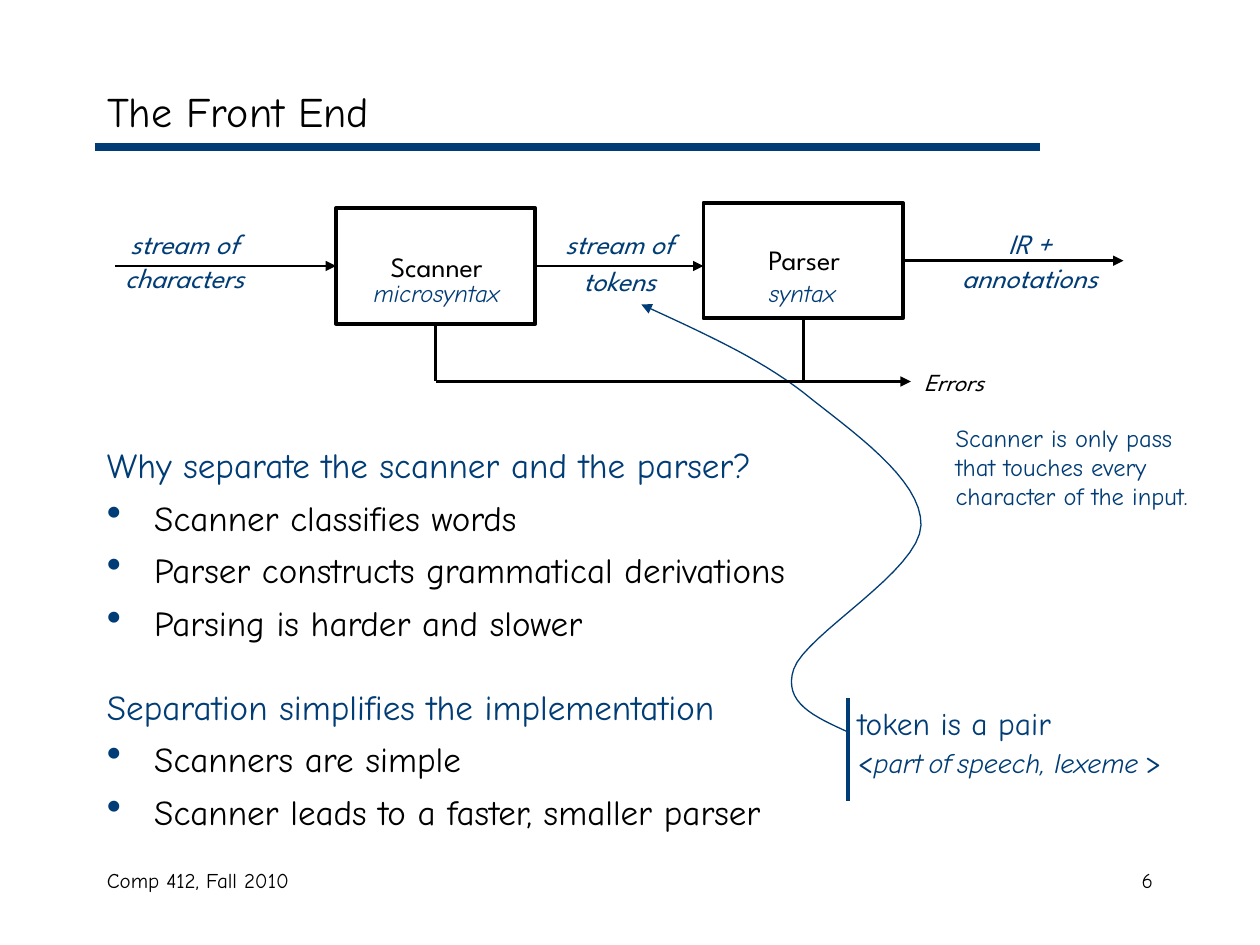
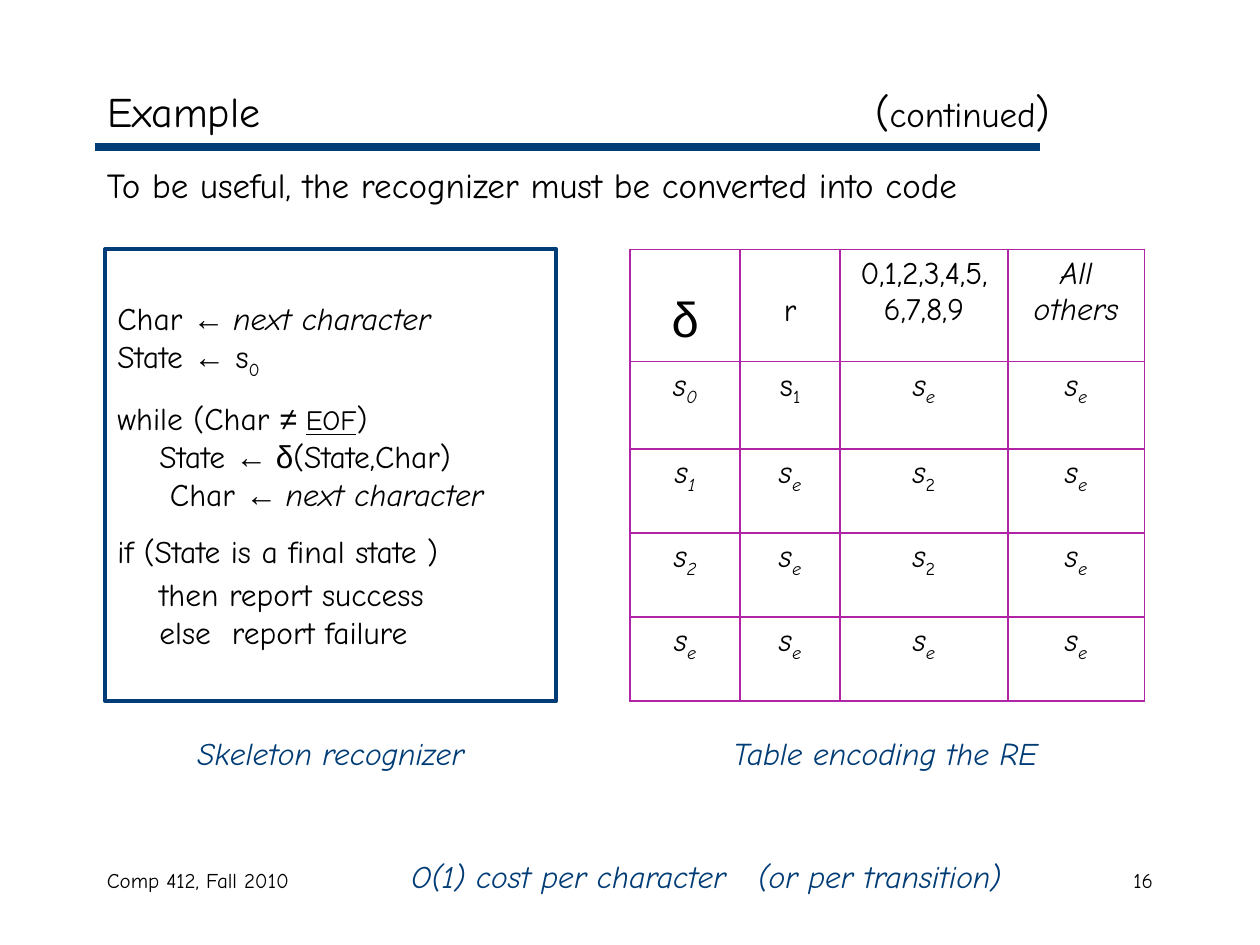
from lxml import etree
from pptx import Presentation
from pptx.dml.color import RGBColor
from pptx.enum import shapes, text
from pptx.oxml import ns
from pptx.util import Pt

COLOURS = {"ink": "000000", "navy": "003C75", "grid": "B025A6"}
HAND, SANS, SYMBOL = "Comic Neue", "League Spartan", "Arial"
LEFT, CENTER, RIGHT = (text.PP_ALIGN.LEFT, text.PP_ALIGN.CENTER,
                       text.PP_ALIGN.RIGHT)


def rgb(name):
    return RGBColor.from_string(COLOURS[name])


def add_xml(parent, tag, **attributes):
    return etree.SubElement(parent, ns.qn(tag), attributes)


def set_font(font, size=None, face=None, colour=None, italic=None, underline=None):
    if size:
        font.size = Pt(size)
    if face:
        font.name = face
    if colour:
        font.color.rgb = rgb(colour)
    if italic is not None:
        font.italic = italic
    if underline is not None:
        font.underline = underline


class Deck:
    """Holds the shared style and the slide being built."""

    def __init__(self):
        self.show = Presentation()
        self.show.slide_width, self.show.slide_height = Pt(720), Pt(540)
        self.slide = None

    def new_slide(self, title, number, tab=None):
        layout = self.show.slide_layouts[5]
        self.slide = self.show.slides.add_slide(layout)
        heading = self.slide.shapes.title
        heading.left, heading.top, heading.width, heading.height = map(
            Pt, (54, 42, 612, 42))
        heading.text_frame.auto_size = text.MSO_AUTO_SIZE.NONE
        heading.text_frame.vertical_anchor = text.MSO_ANCHOR.MIDDLE
        self.paragraph(heading.text_frame.paragraphs[0], title, size=24, tab=tab)
        self.line((54, 84), (594, 84), "navy", 4.5)
        self.label((54, 492, 294, 36), ["Comp 412, Fall 2010"], size=12)
        self.label((516, 492, 150, 36), [number], size=12, align=RIGHT)

    def paragraph(self, para, runs, size=18, face=HAND, colour="ink", italic=False,
                  align=LEFT, before=0, bullet=False, tab=None):
        """Fill a paragraph; runs is a string or a list of strings and (string, changes)."""
        props = para._p.get_or_add_pPr()
        if bullet:
            props.set("marL", str(Pt(27)))
            props.set("indent", str(-Pt(27)))
            add_xml(add_xml(props, "a:buClr"), "a:srgbClr", val=COLOURS["navy"])
            add_xml(props, "a:buSzPct", val="120000")
            add_xml(props, "a:buChar", char="•")
        if tab:
            position, kind = tab
            add_xml(add_xml(props, "a:tabLst"), "a:tab", pos=str(Pt(position)), algn=kind)
        para.alignment = align
        para.space_before = Pt(before)
        set_font(para.font, size, face, colour, italic)
        for part in [runs] if isinstance(runs, str) else runs:
            words, changes = (part, {}) if isinstance(part, str) else part
            changes = dict(changes)
            subscript = changes.pop("subscript", False)
            run = para.add_run()
            run.text = words
            set_font(run.font, **changes)
            if subscript:
                run._r.get_or_add_rPr().set("baseline", "-25000")

    def fill_text(self, frame, lines, **style):
        """Write lines; a line is runs or (runs, dict of paragraph settings)."""
        for index, line in enumerate(lines):
            runs, own = line if isinstance(line, tuple) else (line, {})
            para = frame.add_paragraph() if index else frame.paragraphs[0]
            self.paragraph(para, runs, **{**style, **own})

    def label(self, box, lines, wrap=True, **style):
        frame = self.slide.shapes.add_textbox(*map(Pt, box)).text_frame
        frame.word_wrap = wrap
        self.fill_text(frame, lines, **style)

    def frame(self, box, colour="ink"):
        rect = self.slide.shapes.add_shape(shapes.MSO_SHAPE.RECTANGLE, *map(Pt, box))
        rect.shadow.inherit = False
        rect.fill.background()
        rect.line.color.rgb = rgb(colour)
        rect.line.width = Pt(2.25)
        return rect

    def line(self, start, end, colour="ink", width=1.5, arrow=False,
             leaves=None, enters=None):
        """Draw a line; leaves and enters are (shape, side) joints."""
        link = self.slide.shapes.add_connector(
            shapes.MSO_CONNECTOR.STRAIGHT, *map(Pt, (*start, *end)))
        if leaves:
            link.begin_connect(*leaves)
        if enters:
            link.end_connect(*enters)
        link.line.color.rgb = rgb(colour)
        link.line.width = Pt(width)
        if arrow:
            add_xml(link.line._get_or_add_ln(), "a:tailEnd", type="triangle")
        add_xml(link._element.spPr, "a:effectLst")

    def curve(self, start, beziers, colour, width, steps=16):
        """Draw a smooth open curve with an arrowhead at its start."""
        points, origin = [], start
        for bezier in beziers:
            knots = (origin, *bezier)
            for step in range(1, steps + 1):
                t = step / steps
                weights = ((1 - t) ** 3, 3 * t * (1 - t) ** 2, 3 * t * t * (1 - t), t ** 3)
                points.append(tuple(
                    Pt(sum(w * knot[axis] for w, knot in zip(weights, knots)))
                    for axis in (0, 1)))
            origin = bezier[-1]
        builder = self.slide.shapes.build_freeform(*map(Pt, start))
        builder.add_line_segments(points, close=False)
        stroke = builder.convert_to_shape()
        stroke.shadow.inherit = False
        stroke.fill.background()
        stroke.line.color.rgb = rgb(colour)
        stroke.line.width = Pt(width)
        add_xml(stroke.line._get_or_add_ln(), "a:headEnd", type="triangle")

    def table(self, corner, widths, heights, rows):
        """Draw a ruled table; each cell is (runs, paragraph settings, top margin)."""
        grid = self.slide.shapes.add_table(
            len(heights), len(widths), *map(Pt, (*corner, sum(widths), sum(heights)))).table
        grid.first_row = grid.horz_banding = False
        for column, width in zip(grid.columns, widths):
            column.width = Pt(width)
        for row, height, contents in zip(grid.rows, heights, rows):
            row.height = Pt(height)
            for cell, (runs, style, top) in zip(row.cells, contents):
                cell.margin_top = Pt(top)
                self.paragraph(cell.text_frame.paragraphs[0], runs, align=CENTER, **style)
                props = cell._tc.get_or_add_tcPr()
                for side in ("a:lnL", "a:lnR", "a:lnT", "a:lnB"):
                    edge = add_xml(props, side, w=str(Pt(1.08)))
                    add_xml(add_xml(edge, "a:solidFill"), "a:srgbClr", val=COLOURS["grid"])
                cell.fill.background()


def front_end(deck):
    deck.new_slide("The Front End", "6")

    # Reasons for the separation
    heading, point = {"colour": "navy"}, {"bullet": True, "before": 6}
    deck.label((54, 250, 636, 249), [
        ("Why separate the scanner and the parser?", heading),
        ("Scanner classifies words", point),
        ("Parser constructs grammatical derivations", point),
        ("Parsing is harder and slower", point),
        ("Separation simplifies the implementation", {**heading, "before": 24}),
        ("Scanners are simple", point),
        ("Scanner leads to a faster, smaller parser", point),
    ], size=20)

    # Token definition, pointing at the token stream
    gap = (" ", {"size": 10, "italic": True})
    pair = [(word, {"size": 16, "italic": True}) for word in ("part", "of", "speech, lexeme")]
    deck.label((483, 399, 202, 50), [
        "token is a pair",
        ["<", pair[0], gap, pair[1], gap, pair[2], gap, ">"],
    ], colour="navy")
    deck.line((484.5, 399), (484.5, 458), "navy", 2.25)
    deck.curve((366.5, 174), [
        ((399.6, 189.4), (432.7, 203.8), (459.4, 224.6)),
        ((485.3, 245.5), (527, 273.6), (526.3, 300.2)),
        ((525.6, 326.2), (460.8, 362.2), (453.6, 382.3)),
        ((447.1, 401.8), (465.8, 409.7), (484.5, 418.3)),
    ], "navy", 0.75)

    # Stages
    scanner = deck.frame((192, 119, 114, 66))
    parser = deck.frame((402, 116, 114, 66))
    for box, stage in (((212, 139, 75, 27), "Scanner"), ((428, 135, 63, 27), "Parser")):
        deck.label(box, [stage], wrap=False, size=16, face=SANS, align=CENTER)
    for left, level in ((194, "microsyntax"), (403, "syntax")):
        deck.label((left, 155.5, 111, 24.5), [level], size=14, colour="navy",
                   italic=True, align=CENTER)

    # Flow between the stages, and errors
    deck.line((66, 152), (192, 152), arrow=True, enters=(scanner, 1))
    deck.line((306, 152), (402, 152), arrow=True, leaves=(scanner, 3))
    deck.line((516, 149), (642, 149), arrow=True, leaves=(parser, 3))
    deck.line((249, 185), (249, 218), leaves=(scanner, 2))
    deck.line((459, 182), (459, 218), leaves=(parser, 2))
    deck.line((249, 218), (520.5, 218), arrow=True)
    flows = (
        ((61, 126, 89, 46), "stream of", "characters", 0),
        ((306, 126, 96, 48), "stream of", "tokens", 2),
        ((534, 126, 109, 46), "IR +", "annotations", 0),
    )
    for box, above, below, gap_before in flows:
        deck.label(box, [above, (below, {"before": gap_before})], wrap=False, size=16,
                   face=SANS, colour="navy", italic=True, align=CENTER)
    deck.label((521, 206, 56, 24), ["Errors"], wrap=False, size=14, face=SANS, italic=True)
    deck.label((539, 238, 165, 58),
               ["Scanner is only pass that touches every character of the input."],
               size=14, colour="navy")


def state(index, italic=True, index_italic=None):
    """A table cell holding s with a subscript."""
    slant = italic if index_italic is None else index_italic
    return [("s", {"italic": italic}), (index, {"italic": slant, "subscript": True})], {}, 3.6


def example(deck):
    deck.new_slide(["Example\t(", ("continued", {"size": 20}), ")"], "16", tab=(539, "r"))
    deck.label((54, 90, 612, 36),
               ["To be useful, the recognizer must be converted into code"], size=20)

    # Transition table
    error, digit_two = state("e"), state("2", index_italic=False)
    deck.table((360, 142.5), (63, 57, 96, 78), (64, 50, 48, 48, 48), [
        [("δ", {"size": 28, "face": SYMBOL}, 25.2), ("r", {}, 25.2),
         ("0,1,2,3,4,5,6,7,8,9", {}, 3.6), ("All others", {"italic": True}, 3.6)],
        [state("0"), state("1", italic=False), error, error],
        [state("1"), error, digit_two, error],
        [state("2"), error, digit_two, error],
        [error] * 4,
    ])

    # Skeleton code
    symbol = {"face": SYMBOL}
    read_next = [("← ", symbol), ("next character", {"italic": True})]
    code = deck.frame((60, 142.5, 258, 258), "navy").text_frame
    code.word_wrap = False
    code.vertical_anchor = text.MSO_ANCHOR.MIDDLE
    deck.fill_text(code, [
        ["Char ", *read_next],
        ["State ", ("←", symbol), " s", ("0", {"subscript": True})],
        (["while (Char ", ("≠ ", symbol), ("EOF", {"size": 16, "underline": True}), ")"],
         {"before": 11.2}),
        ["    State ", ("← δ", symbol), "(State,Char)"],
        ["     Char ", *read_next],
        ("if (State is a final state )", {"before": 11.2}),
        ("    then report success", {"before": 3}),
        "    else  report failure",
    ])

    # Captions and cost
    remark = {"colour": "navy", "italic": True}
    deck.label((93, 416, 192, 29), ["Skeleton recognizer"], align=CENTER, **remark)
    deck.label((405, 416, 202, 29), ["Table encoding the RE"], align=CENTER, **remark)
    deck.label((228, 486, 385, 29), ["O(1) cost per character\t(or per transition)"],
               tab=(198, "l"), **remark)


def main():
    deck = Deck()
    front_end(deck)
    example(deck)
    deck.show.save("out.pptx")


if __name__ == "__main__":
    main()
